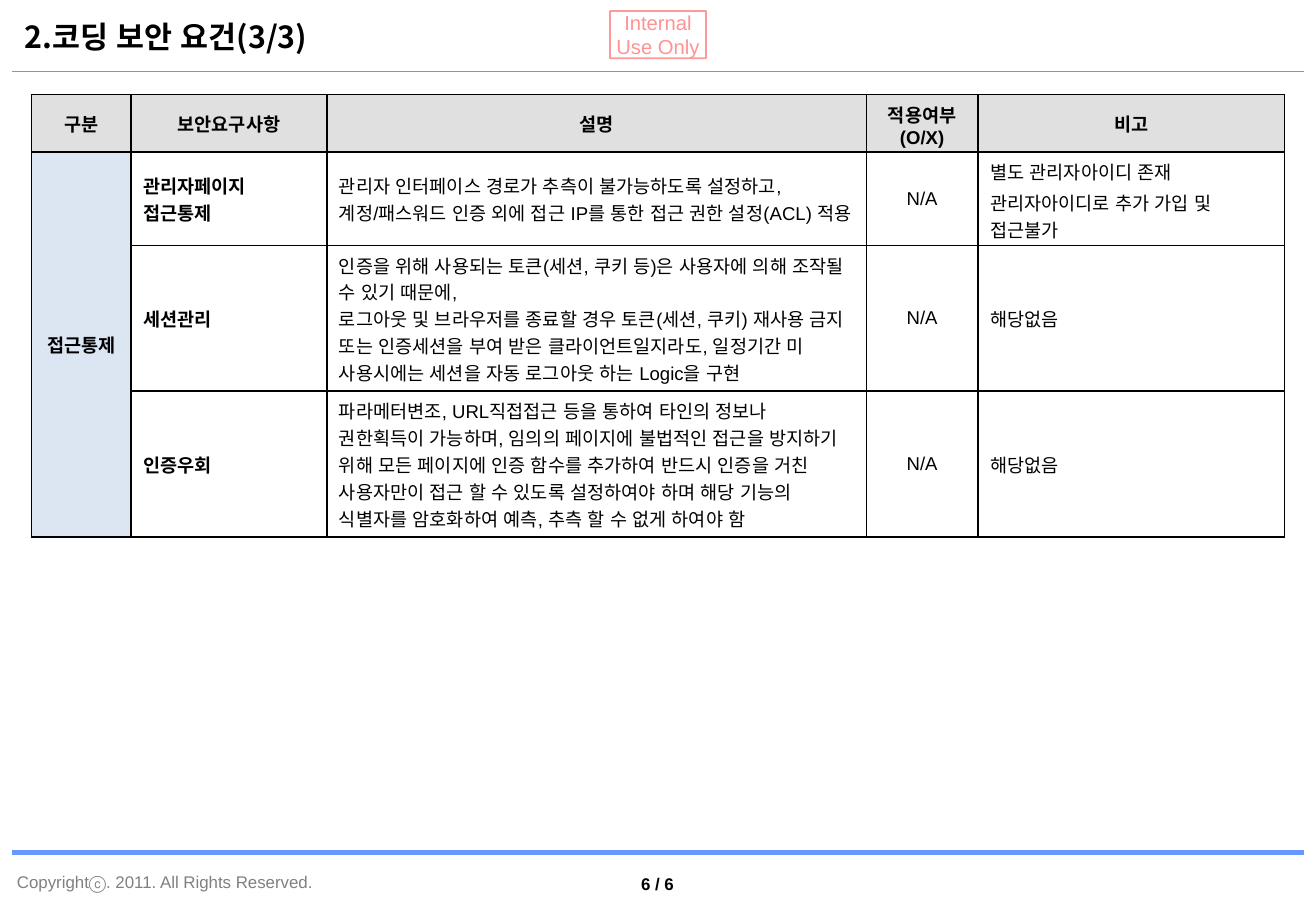
from dataclasses import dataclass

import lxml.etree
import pptx
import pptx.dml.color
import pptx.enum.lang
import pptx.enum.shapes
import pptx.enum.text
import pptx.oxml
import pptx.oxml.ns
import pptx.util

Inches, Pt = pptx.util.Inches, pptx.util.Pt
ALIGN, ANCHOR = pptx.enum.text.PP_ALIGN, pptx.enum.text.MSO_ANCHOR
qn = pptx.oxml.ns.qn


@dataclass(frozen=True)
class Theme:
    """Colours, fonts and type sizes of the slide."""
    latin: str = "Arial"
    korean: str = "Noto Sans CJK KR"
    ink: str = "000000"
    muted: str = "808080"
    rule: str = "6699FF"
    stamp_text: str = "FF9393"
    stamp_line: str = "FF0000"
    header_fill: str = "E0E0E0"
    group_fill: str = "DCE6F2"
    title_size: float = 18
    stamp_size: float = 12
    table_size: float = 11
    footer_size: float = 10


class SlideBuilder:
    """Draws styled elements on one slide."""

    def __init__(self, slide, theme):
        self.slide, self.theme = slide, theme

    def rgb(self, value):
        return pptx.dml.color.RGBColor.from_string(value)

    def set_lines(self, frame, lines, size, color=None, bold=False, align=ALIGN.LEFT,
                  face=None, before=0):
        for index, line in enumerate(lines):
            paragraph = frame.paragraphs[0] if index == 0 else frame.add_paragraph()
            paragraph.alignment = align
            paragraph.space_before = Pt(before)
            font = paragraph.font
            font.size, font.bold = Pt(size), bold
            font.name = face or self.theme.latin
            font.color.rgb = self.rgb(color or self.theme.ink)
            east_asian = lxml.etree.SubElement(font._element, qn("a:ea"))
            east_asian.set("typeface", self.theme.korean)
            run = paragraph.add_run()
            run.text = line
            run.font.language_id = pptx.enum.lang.MSO_LANGUAGE_ID.KOREAN

    def frame(self, shape, inset, anchor, wrap=True):
        frame = shape.text_frame
        frame.word_wrap, frame.vertical_anchor = wrap, anchor
        frame.margin_left = frame.margin_right = Inches(inset[0])
        frame.margin_top = frame.margin_bottom = Inches(inset[1])
        return frame

    def text(self, box, lines, size, inset=(0.04, 0.04), anchor=ANCHOR.MIDDLE, **style):
        shape = self.slide.shapes.add_textbox(*map(Inches, box))
        self.set_lines(self.frame(shape, inset, anchor), lines, size, **style)

    def rule(self, y, width):
        line = self.slide.shapes.add_connector(
            pptx.enum.shapes.MSO_CONNECTOR.STRAIGHT,
            Inches(0.1), Inches(y), Inches(10.73), Inches(y))
        line.line.color.rgb = self.rgb(self.theme.rule)
        line.line.width = Pt(width)
        lxml.etree.SubElement(line._element.spPr, qn("a:effectLst"))

    def stamp(self, box, lines):
        shape = self.slide.shapes.add_shape(
            pptx.enum.shapes.MSO_SHAPE.RECTANGLE, *map(Inches, box))
        shape.shadow.inherit = False
        shape.fill.background()
        shape.line.width = Pt(1)
        shape.line.color.rgb = self.rgb(self.theme.stamp_line)
        color = shape._element.spPr.find(qn("a:ln")).find(".//" + qn("a:srgbClr"))
        lxml.etree.SubElement(color, qn("a:alpha")).set("val", "40000")
        frame = self.frame(shape, (0.04, 0.04), ANCHOR.MIDDLE, wrap=False)
        self.set_lines(frame, lines, self.theme.stamp_size,
                       color=self.theme.stamp_text, align=ALIGN.CENTER)

    def cell(self, cell, lines, fill=None, **style):
        cell.vertical_anchor = ANCHOR.MIDDLE
        cell.margin_left = cell.margin_right = Inches(0.1)
        cell.margin_top = cell.margin_bottom = Inches(0.05)
        self.set_lines(cell.text_frame, lines, self.theme.table_size, **style)
        properties = cell._tc.get_or_add_tcPr()
        for side in ("lnL", "lnR", "lnT", "lnB"):
            border = lxml.etree.SubElement(properties, qn(f"a:{side}"), w="12700")
            solid = lxml.etree.SubElement(border, qn("a:solidFill"))
            lxml.etree.SubElement(solid, qn("a:srgbClr"), val=self.theme.ink)
        if fill:
            cell.fill.solid()
            cell.fill.fore_color.rgb = self.rgb(fill)
        else:
            cell.fill.background()

    def table(self, box, widths, heights, header, group, rows):
        table = self.slide.shapes.add_table(
            len(heights), len(widths), *map(Inches, box)).table
        table.first_row = table.horz_banding = False
        for column, width in zip(table.columns, widths):
            column.width = Inches(width)
        for row, height in zip(table.rows, heights):
            row.height = Inches(height)
        for index, lines in enumerate(header):
            self.cell(table.cell(0, index), lines, self.theme.header_fill,
                      bold=True, align=ALIGN.CENTER)
        styles = (dict(bold=True), {}, dict(align=ALIGN.CENTER, before=2.2),
                  dict(before=2.2))
        for row, contents in enumerate(rows, 1):
            self.cell(table.cell(row, 0), group if row == 1 else [],
                      self.theme.group_fill, bold=True, align=ALIGN.CENTER)
            for column, (lines, style) in enumerate(zip(contents, styles), 1):
                self.cell(table.cell(row, column), lines, **style)
        table.cell(1, 0).merge(table.cell(len(rows), 0))


HEADER = [["구분"], ["보안요구사항"], ["설명"], ["적용여부", "(O/X)"], ["비고"]]
REQUIREMENTS = [
    (["관리자페이지", "접근통제"],
     ["관리자 인터페이스 경로가 추측이 불가능하도록 설정하고,계정/패스워드 인증 외에 접근 "
      "IP를 통한 접근 권한 설정(ACL) 적용"],
     ["N/A"],
     ["별도 관리자아이디 존재", "관리자아이디로 추가 가입 및 접근불가"]),
    (["세션관리"],
     ["인증을 위해 사용되는 토큰(세션, 쿠키 등)은 사용자에 의해 조작될 수 있기 때문에,",
      "로그아웃 및 브라우저를 종료할 경우 토큰(세션, 쿠키) 재사용 금지 또는 인증세션을 "
      "부여 받은 클라이언트일지라도, 일정기간 미 사용시에는 세션을 자동 로그아웃 하는 "
      "Logic을 구현"],
     ["N/A"], ["해당없음"]),
    (["인증우회"],
     ["파라메터변조, URL직접접근 등을 통하여 타인의 정보나 권한획득이 가능하며, 임의의 "
      "페이지에 불법적인 접근을 방지하기 위해 모든 페이지에 인증 함수를 추가하여 반드시 "
      "인증을 거친 사용자만이 접근 할 수 있도록 설정하여야 하며 해당 기능의 식별자를 "
      "암호화하여 예측, 추측 할 수 없게 하여야 함"],
     ["N/A"], ["해당없음"]),
]


def main():
    theme = Theme()
    deck = pptx.Presentation()
    deck.slide_width, deck.slide_height = Inches(10.83), Inches(7.5)
    page = SlideBuilder(deck.slides.add_slide(deck.slide_layouts[6]), theme)
    page.rule(0.59, 0.75)
    page.rule(7.02, 3)
    page.stamp((5.02, 0.09, 0.79, 0.39), ["Internal", "Use Only"])
    page.text((4.9, 7.14, 1.02, 0.27), ["6 / 6"], theme.footer_size,
              inset=(0.1, 0.05), anchor=ANCHOR.TOP, bold=True, align=ALIGN.CENTER)
    page.text((0.1, 7.14, 3.47, 0.24), ["Copyrightⓒ. 2011. All Rights Reserved."],
              theme.footer_size, color=theme.muted)
    page.table((0.26, 0.78, 10.31, 3.64), (0.82, 1.61, 4.44, 0.92, 2.52),
               (0.47, 0.77, 1.2, 1.2), HEADER, ["접근통제"], REQUIREMENTS)
    page.text((0.16, 0, 3.29, 0.6), ["2.코딩 보안 요건(3/3)"], theme.title_size,
              bold=True, face=theme.korean)
    deck.save("out.pptx")


if __name__ == "__main__":
    main()
